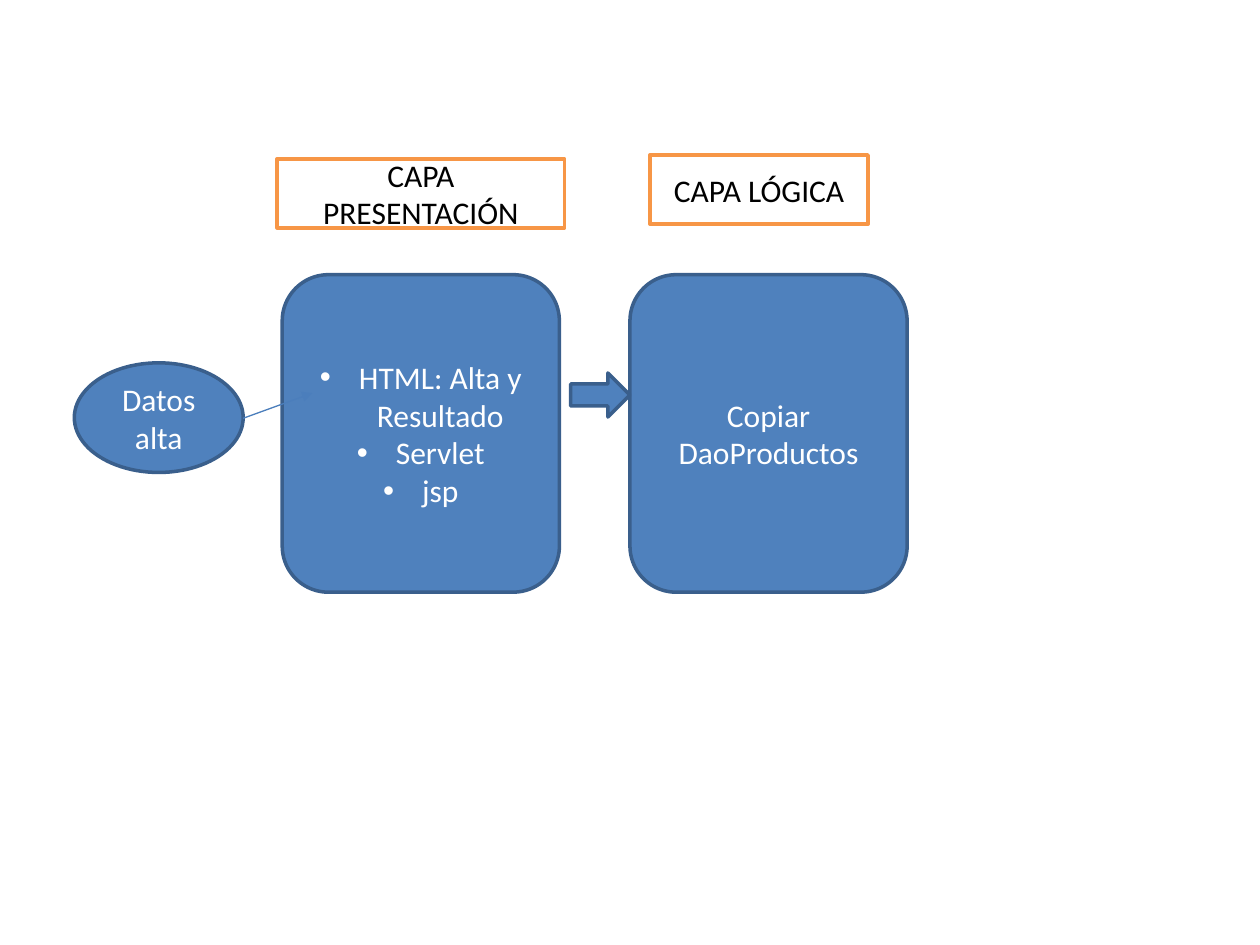
"""Build a slide of the presentation and logic layers of a product form."""
import pptx
import pptx.util
import pptx.dml.color
import pptx.enum.shapes
import pptx.enum.text
import pptx.oxml.ns
import lxml.etree

KIND = pptx.enum.shapes.MSO_SHAPE
INCH = pptx.util.Inches
THEME = {
    "font": "Calibri", "size": 18, "line": 2, "thin": 0.75,
    "solid": ("4F81BD", "3A5F8C", "FFFFFF"),
    "label": ("FFFFFF", "F79646", "000000"),
    "link": "4B7EBC", "indent": 0.31,
}
TOP, WIDE, HIGH = 2.18, 2.2, 2.52
LEFT, RIGHT = 2.24, 5
TAG = 0.55
PARTS = [
    (KIND.ROUNDED_RECTANGLE, (LEFT, TOP, WIDE, HIGH), "solid",
     ["HTML: Alta y Resultado", "Servlet", "jsp"], True),
    (KIND.ROUNDED_RECTANGLE, (RIGHT, TOP, WIDE, HIGH), "solid",
     ["Copiar DaoProductos"], False),
    (KIND.RECTANGLE, (2.2, 1.26, 2.28, TAG), "label", ["CAPA PRESENTACIÓN"], False),
    (KIND.RECTANGLE, (5.16, 1.23, 1.73, TAG), "label", ["CAPA LÓGICA"], False),
    (KIND.OVAL, (0.59, 2.88, 1.34, 0.87), "solid", ["Datos alta"], False),
    (KIND.RIGHT_ARROW, (RIGHT - 0.47, 2.96, 0.47, 0.35), "solid", [], False),
]
LINK = (1.93, 3.32, 2.48, 3.12)


def color(code):
    """Turn a hex code into a colour."""
    return pptx.dml.color.RGBColor.from_string(code)


def add_xml(node, tag, **attrs):
    """Append a drawing element to a node."""
    return lxml.etree.SubElement(node, pptx.oxml.ns.qn(tag), attrs)


def write(shape, lines, ink, bullet=False):
    """Write centred paragraphs, with bullets on request."""
    frame = shape.text_frame
    frame.word_wrap = True
    frame.vertical_anchor = pptx.enum.text.MSO_ANCHOR.MIDDLE
    frame.text = "\n".join(lines)
    for para in frame.paragraphs:
        para.alignment = pptx.enum.text.PP_ALIGN.CENTER
        for run in para.runs:
            run.font.name = THEME["font"]
            run.font.size = pptx.util.Pt(THEME["size"])
            run.font.color.rgb = color(ink)
        if bullet:
            props = para._p.get_or_add_pPr()
            step = INCH(THEME["indent"])
            props.set("marL", str(step))
            props.set("indent", str(-step))
            add_xml(props, "a:buFont", typeface="Arial")
            add_xml(props, "a:buChar", char="•")


def draw(slide, kind, box, style, lines, bullet):
    """Draw one shape in a style from the theme."""
    fill, edge, ink = THEME[style]
    shape = slide.shapes.add_shape(kind, *map(INCH, box))
    shape.shadow.inherit = False
    shape.fill.solid()
    shape.fill.fore_color.rgb = color(fill)
    shape.line.color.rgb = color(edge)
    shape.line.width = pptx.util.Pt(THEME["line"])
    if lines:
        write(shape, lines, ink, bullet=bullet)


def join(slide, ends):
    """Draw a thin arrow between two points."""
    straight = pptx.enum.shapes.MSO_CONNECTOR.STRAIGHT
    link = slide.shapes.add_connector(straight, *map(INCH, ends))
    link.line.color.rgb = color(THEME["link"])
    link.line.width = pptx.util.Pt(THEME["thin"])
    add_xml(link.line._get_or_add_ln(), "a:tailEnd", type="triangle")
    add_xml(link._element.spPr, "a:effectLst")


deck = pptx.Presentation()
deck.slide_width, deck.slide_height = INCH(10), INCH(7.5)
slide = deck.slides.add_slide(deck.slide_layouts[6])
for part in PARTS[:-1]:
    draw(slide, *part)
join(slide, LINK)
draw(slide, *PARTS[-1])
deck.save("out.pptx")
